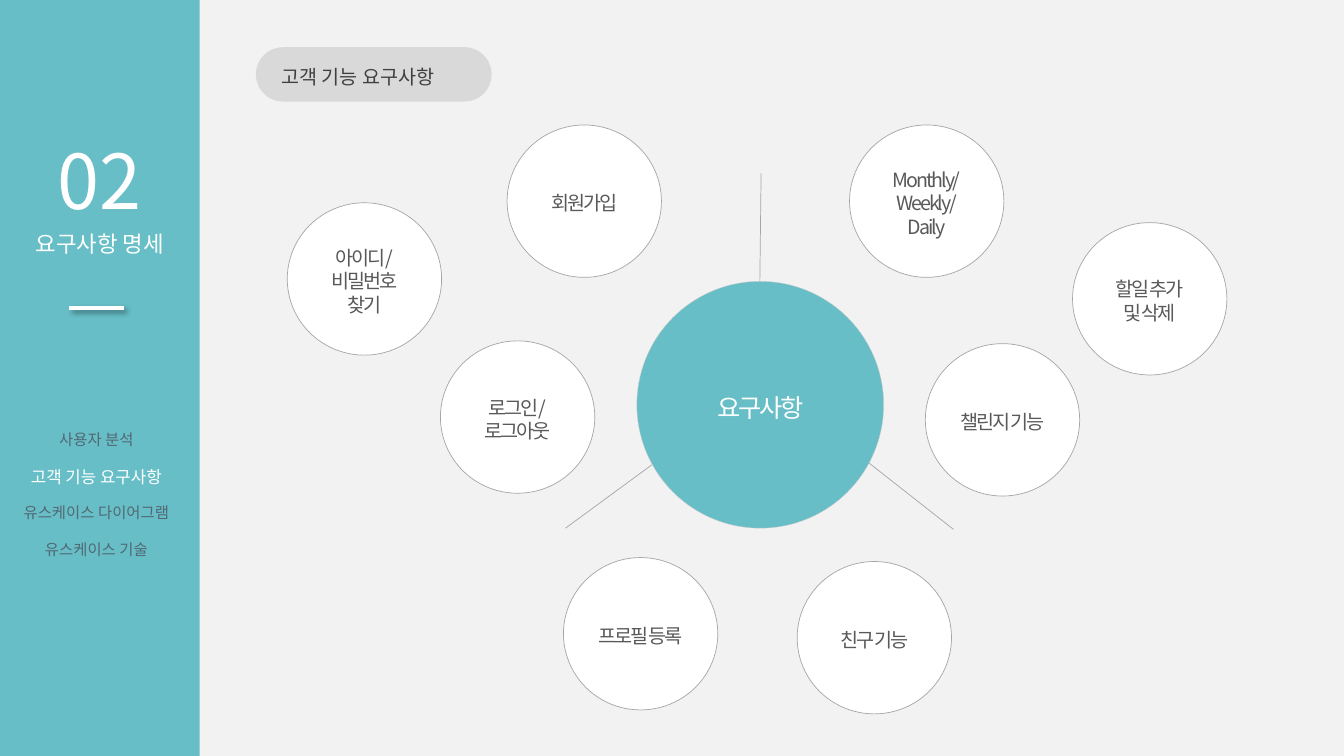
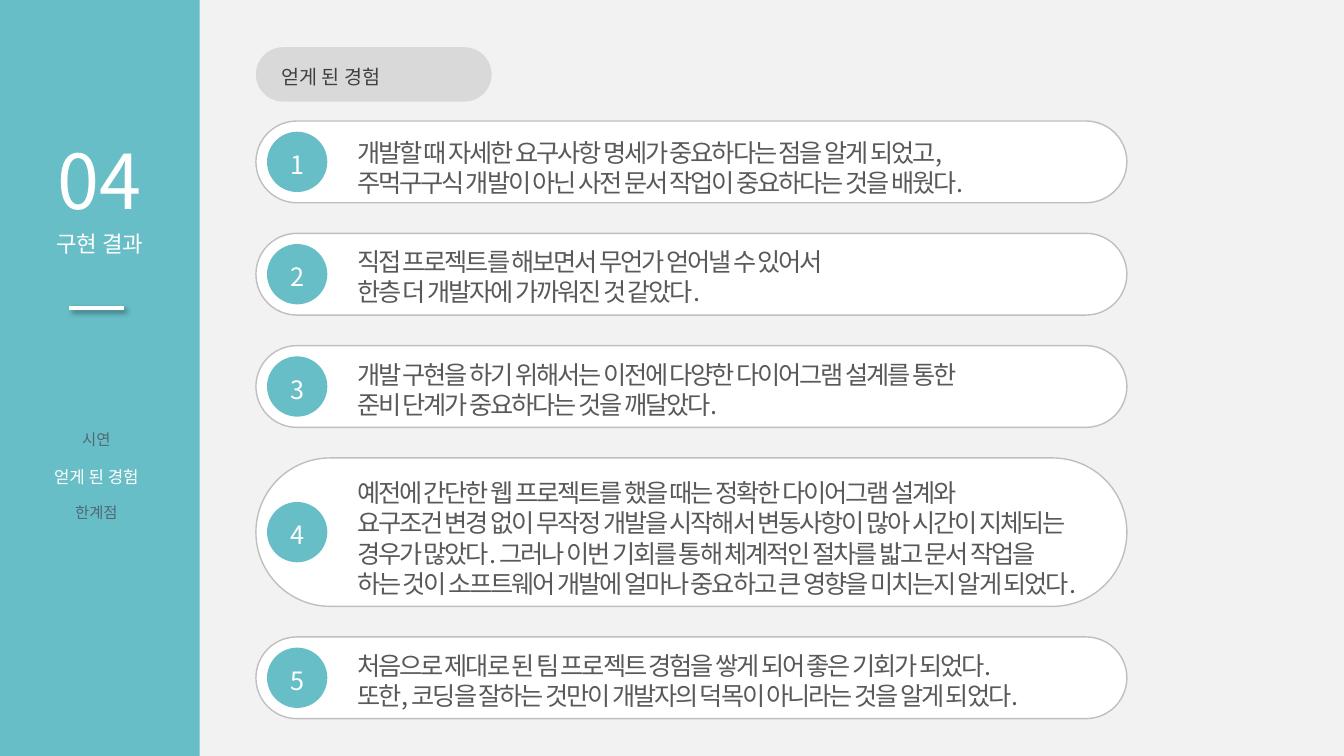
import dataclasses

import lxml.etree
import pptx
import pptx.dml.color
import pptx.enum.shapes
import pptx.enum.text
import pptx.oxml.ns
import pptx.util

Cm = pptx.util.Cm
Pt = pptx.util.Pt
SHAPES = pptx.enum.shapes.MSO_SHAPE
ALIGN = pptx.enum.text.PP_ALIGN
qn = pptx.oxml.ns.qn


@dataclasses.dataclass(frozen=True)
class Theme:
    font: str = "Noto Sans CJK KR"
    # Colours
    page: str = "F2F2F2"
    accent: str = "67BEC7"
    white: str = "FFFFFF"
    muted: str = "526872"
    chip: str = "D9D9D9"
    heading: str = "404040"
    body: str = "595959"
    hub_edge: str = "CCCCCC"
    thin_edge: str = "A6A6A6"
    bar_edge: str = "BFBFBF"
    # Type sizes in points
    number: int = 54
    section: int = 16
    current: int = 12
    entry: int = 11
    label: int = 14
    large: int = 18
    # Line height in ems, and character spacing in hundredths of a point
    leading: float = 1.2
    tight: int = -150


THEME = Theme()
SLIDE_WIDTH, SLIDE_HEIGHT = 33.87, 19.05
SIDEBAR_WIDTH = 5.03
CONTENT_LEFT = 6.45


def rgb(colour):
    return pptx.dml.color.RGBColor.from_string(colour)


# Basic elements
def write(shape, lines, size, colour, align=ALIGN.CENTER, spacing=0, left=0):
    """Fill a shape with vertically centred lines of text."""
    frame = shape.text_frame
    frame.word_wrap = True
    frame.vertical_anchor = pptx.enum.text.MSO_ANCHOR.MIDDLE
    frame.margin_left = Cm(left)
    frame.margin_right = frame.margin_bottom = 0
    # Balances the ascent trimmed by the fixed line height
    frame.margin_top = Pt(0.2 * size)
    for index, line in enumerate(lines):
        para = frame.paragraphs[0] if index == 0 else frame.add_paragraph()
        para.alignment = align
        para.line_spacing = Pt(THEME.leading * size)
        span = para.add_run()
        span.text = line
        span.font.size = Pt(size)
        span.font.color.rgb = rgb(colour)
        span.font.name = THEME.font
        properties = span.font._element
        east_asian = lxml.etree.SubElement(properties, qn("a:ea"))
        east_asian.set("typeface", THEME.font)
        if spacing:
            properties.set("spc", str(spacing))


def add_shape(page, kind, left, top, width, height, fill, edge=None, weight=1):
    shape = page.shapes.add_shape(kind, Cm(left), Cm(top), Cm(width), Cm(height))
    shape.shadow.inherit = False
    shape.fill.solid()
    shape.fill.fore_color.rgb = rgb(fill)
    if edge:
        shape.line.color.rgb = rgb(edge)
        shape.line.width = Pt(weight)
    else:
        shape.line.fill.background()
    return shape


def add_pill(page, left, top, width, height, fill, edge=None):
    pill = add_shape(page, SHAPES.ROUNDED_RECTANGLE, left, top, width, height, fill, edge)
    pill.adjustments[0] = 0.5
    return pill


def add_text(page, left, top, width, height, lines, size, colour, **style):
    box = page.shapes.add_textbox(Cm(left), Cm(top), Cm(width), Cm(height))
    write(box, lines, size, colour, **style)


def add_line(page, start, end, colour, weight):
    """Draw a straight line and return its empty effect list."""
    line = page.shapes.add_connector(
        pptx.enum.shapes.MSO_CONNECTOR.STRAIGHT, *map(Cm, start + end))
    line.line.color.rgb = rgb(colour)
    line.line.width = Pt(weight)
    return lxml.etree.SubElement(line._element.spPr, qn("a:effectLst"))


def add_drop_shadow(effects):
    shadow = lxml.etree.SubElement(
        effects, qn("a:outerShdw"), blurRad=str(Pt(4)), dist=str(Pt(3)),
        dir="2700000", algn="tl", rotWithShape="0")
    colour = lxml.etree.SubElement(shadow, qn("a:srgbClr"), val="000000")
    lxml.etree.SubElement(colour, qn("a:alpha"), val="40000")


# Shared page frame
def add_sidebar(page, number, section, entries, current):
    add_shape(page, SHAPES.RECTANGLE, 0, 0, SIDEBAR_WIDTH, SLIDE_HEIGHT, THEME.accent)
    add_text(page, 0, 5.61, SIDEBAR_WIDTH, 0.94, [section], THEME.section, THEME.white)
    add_text(page, 0, 3.05, SIDEBAR_WIDTH, 2.57, [number], THEME.number, THEME.white)
    add_drop_shadow(add_line(page, (1.75, 7.77), (3.12, 7.77), THEME.white, 3))
    for index, entry in enumerate(entries):
        active = entry == current
        add_text(page, 0, 10.67 + 0.92 * index, 4.86, 0.74, [entry],
                 THEME.current if active else THEME.entry,
                 THEME.white if active else THEME.muted)


def add_page(deck, number, section, entries, current):
    page = deck.slides.add_slide(deck.slide_layouts[6])
    page.background.fill.solid()
    page.background.fill.fore_color.rgb = rgb(THEME.page)
    add_sidebar(page, number, section, entries, current)
    chip = add_pill(page, CONTENT_LEFT, 1.19, 5.94, 1.37, THEME.chip)
    write(chip, [current], THEME.label, THEME.heading, align=ALIGN.LEFT, left=0.44)
    return page


# Requirements map
def add_requirement(page, left, top, lines):
    circle = add_shape(page, SHAPES.OVAL, left, top, 3.89, 3.84,
                       THEME.white, THEME.thin_edge, 0.5)
    write(circle, lines, THEME.label, THEME.body, spacing=THEME.tight)


def add_requirements_page(deck):
    page = add_page(
        deck, "02", "요구사항 명세",
        ["사용자 분석", "고객 기능 요구사항", "유스케이스 다이어그램", "유스케이스 기술"],
        "고객 기능 요구사항")
    hub = add_shape(page, SHAPES.OVAL, 16.05, 7.09, 6.22, 6.22,
                    THEME.accent, THEME.hub_edge, 0.25)
    write(hub, ["요구사항"], THEME.large, THEME.white, spacing=THEME.tight)
    spokes = [
        ((19.15, 7.09), (19.18, 4.37)),
        ((16.43, 11.71), (14.25, 13.31)),
        ((21.89, 11.66), (24.03, 13.34)),
    ]
    for start, end in spokes:
        add_line(page, start, end, THEME.thin_edge, 0.5)
    requirements = [
        (12.78, 3.15, ["회원가입"]),
        (11.10, 8.59, ["로그인/", "로그아웃"]),
        (7.24, 5.11, ["아이디/", "비밀번호", "찾기"]),
        (27.03, 5.61, ["할일 추가", "및 삭제"]),
        (21.41, 3.15, ["Monthly/", "Weekly/", "Daily"]),
        (14.20, 14.05, ["프로필 등록"]),
        (20.09, 14.15, ["친구 기능"]),
        (23.32, 8.66, ["챌린지 기능"]),
    ]
    for left, top, lines in requirements:
        add_requirement(page, left, top, lines)


# Numbered lessons
def add_lesson(page, number, top, height, lines, text_drop):
    add_pill(page, CONTENT_LEFT, top, 21.95, height, THEME.white, THEME.bar_edge)
    size = 1.52
    badge = add_shape(page, SHAPES.OVAL, CONTENT_LEFT + 0.28, top + (height - size) / 2,
                      size, size, THEME.accent)
    write(badge, [str(number)], THEME.large, THEME.white)
    add_text(page, 9, top + text_drop, 20.5, height, lines, THEME.large, THEME.body,
             align=ALIGN.LEFT, spacing=THEME.tight)


def add_lessons_page(deck):
    page = add_page(deck, "04", "구현 결과", ["시연", "얻게 된 경험", "한계점"], "얻게 된 경험")
    # Each lesson: vertical offset of its text, then its lines
    lessons = [
        (0.08, ["개발할 때 자세한 요구사항 명세가 중요하다는 점을 알게 되었고,",
                "주먹구구식 개발이 아닌 사전 문서 작업이 중요하다는 것을 배웠다."]),
        (0, ["직접 프로젝트를 해보면서 무언가 얻어낼 수 있어서",
             "한층 더 개발자에 가까워진 것 같았다."]),
        (0.02, ["개발 구현을 하기 위해서는 이전에 다양한 다이어그램 설계를 통한",
                "준비 단계가 중요하다는 것을 깨달았다."]),
        (0.08, ["예전에 간단한 웹 프로젝트를 했을 때는 정확한 다이어그램 설계와",
                "요구조건 변경 없이 무작정 개발을 시작해서 변동사항이 많아 시간이 지체되는",
                "경우가 많았다. 그러나 이번 기회를 통해 체계적인 절차를 밟고 문서 작업을",
                "하는 것이 소프트웨어 개발에 얼마나 중요하고 큰 영향을 미치는지 알게 되었다."]),
        (0, ["처음으로 제대로 된 팀 프로젝트 경험을 쌓게 되어 좋은 기회가 되었다.",
             "또한, 코딩을 잘하는 것만이 개발자의 덕목이 아니라는 것을 알게 되었다."]),
    ]
    top, gap = 3.05, 0.77
    for number, (text_drop, lines) in enumerate(lessons, start=1):
        height = 0.38 + 0.84 * len(lines)
        add_lesson(page, number, top, height, lines, text_drop)
        top += height + gap


def main():
    deck = pptx.Presentation()
    deck.slide_width = Cm(SLIDE_WIDTH)
    deck.slide_height = Cm(SLIDE_HEIGHT)
    add_requirements_page(deck)
    add_lessons_page(deck)
    deck.save("out.pptx")


if __name__ == "__main__":
    main()
